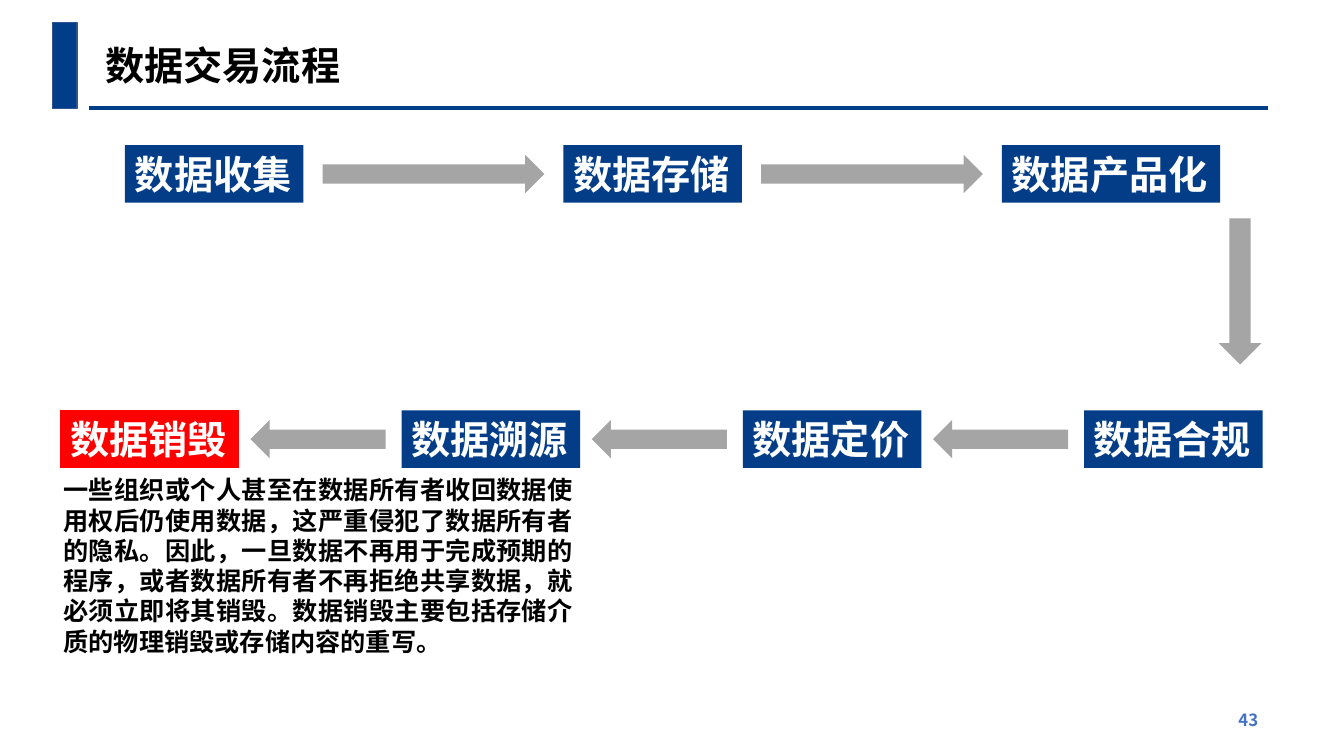
from lxml.etree import SubElement
from pptx import Presentation
from pptx.dml.color import RGBColor
from pptx.enum.shapes import MSO_CONNECTOR, MSO_SHAPE
from pptx.enum.text import MSO_ANCHOR, MSO_AUTO_SIZE, PP_ALIGN
from pptx.oxml.ns import qn
from pptx.util import Cm, Pt

FONT = "Noto Sans CJK SC"
NAVY = RGBColor(0x03, 0x3D, 0x88)
RULE_BLUE = RGBColor(0x00, 0x3E, 0x8A)
EDGE_BLUE = RGBColor(0x32, 0x54, 0x91)
NUMBER_BLUE = RGBColor(0x44, 0x72, 0xC4)
RED = RGBColor(0xFF, 0x00, 0x00)
GREY = RGBColor(0xA5, 0xA5, 0xA5)
WHITE = RGBColor(0xFF, 0xFF, 0xFF)
BLACK = RGBColor(0x00, 0x00, 0x00)

TITLE = "数据交易流程"
COLLECTING_STEPS = ["数据收集", "数据存储", "数据产品化"]
CLOSING_STEPS = ["数据销毁", "数据溯源", "数据定价", "数据合规"]  # left to right
HIGHLIGHT = "数据销毁"
EXPLANATION = (
    "一些组织或个人甚至在数据所有者收回数据使用权后仍使用数据，"
    "这严重侵犯了数据所有者的隐私。因此，一旦数据不再用于完成预期的程序，"
    "或者数据所有者不再拒绝共享数据，就必须立即将其销毁。"
    "数据销毁主要包括存储介质的物理销毁或存储内容的重写。"
)
PAGE_NUMBER = "43"

# Row geometry in centimetres
STEP_HEIGHT = 1.45
ARROW_HEIGHT = 0.97
COLLECTING_ROW = dict(left=3.15, top=3.66, pitch=11.05, offset=4.98, length=5.59, turn=0)
CLOSING_ROW = dict(left=1.52, top=10.34, pitch=8.6, offset=4.79, length=3.41, turn=180)


def add_text(box, text, size, color, align=PP_ALIGN.LEFT):
    para = box.text_frame.paragraphs[0]
    para.alignment = align
    span = para.add_run()
    span.text = text
    span.font.size = Pt(size)
    span.font.bold = True
    span.font.name = FONT
    span.font.color.rgb = color
    SubElement(span.font._element, qn("a:ea"), typeface=FONT)


def add_text_box(page, place, text, size, color, align):
    box = page.shapes.add_textbox(*map(Cm, place))
    box.text_frame.word_wrap = True
    add_text(box, text, size, color, align)
    return box


def add_filled(page, kind, place, fill, edge=None, edge_width=1):
    shape = page.shapes.add_shape(kind, *map(Cm, place))
    shape.shadow.inherit = False
    shape.fill.solid()
    shape.fill.fore_color.rgb = fill
    if edge is None:
        shape.line.fill.background()
    else:
        shape.line.color.rgb = edge
        shape.line.width = Pt(edge_width)
    return shape


def add_arrow(page, place, turn):
    arrow = add_filled(page, MSO_SHAPE.RIGHT_ARROW, place, GREY)
    arrow.rotation = turn


def add_step(page, text, left, top):
    width = 4.5 + (len(text) - 4) * 1.0
    fill, edge = (RED, RED) if text == HIGHLIGHT else (NAVY, None)
    step = add_filled(page, MSO_SHAPE.RECTANGLE, (left, top, width, STEP_HEIGHT), fill, edge, 0.75)
    frame = step.text_frame
    frame.word_wrap = False
    frame.auto_size = MSO_AUTO_SIZE.SHAPE_TO_FIT_TEXT
    frame.vertical_anchor = MSO_ANCHOR.TOP
    add_text(step, text, 28, WHITE)


def add_row(page, steps, left, top, pitch, offset, length, turn):
    """Place evenly pitched steps with an arrow in each gap."""
    arrow_top = top + (STEP_HEIGHT - ARROW_HEIGHT) / 2
    for index, text in enumerate(steps):
        step_left = left + index * pitch
        add_step(page, text, step_left, top)
        if index < len(steps) - 1:
            add_arrow(page, (step_left + offset, arrow_top, length, ARROW_HEIGHT), turn)


def add_header(page):
    rule = page.shapes.add_connector(MSO_CONNECTOR.STRAIGHT, Cm(2.24), Cm(2.72), Cm(31.95), Cm(2.72))
    rule.line.color.rgb = RULE_BLUE
    rule.line.width = Pt(2.25)
    SubElement(rule._element.spPr, qn("a:effectLst"))
    add_filled(page, MSO_SHAPE.RECTANGLE, (1.33, 0.57, 0.61, 2.17), RULE_BLUE, EDGE_BLUE)
    add_text_box(page, (2.01, 0.91, 7.21, 1.98), TITLE, 28, BLACK, PP_ALIGN.CENTER)


def main():
    deck = Presentation()
    deck.slide_width, deck.slide_height = Cm(33.87), Cm(19.05)
    page = deck.slides.add_slide(deck.slide_layouts[6])
    add_header(page)
    add_row(page, COLLECTING_STEPS, **COLLECTING_ROW)
    add_arrow(page, (29.41, 6.81, 3.68, 1.07), 90)
    add_row(page, CLOSING_STEPS, **CLOSING_ROW)
    explanation = add_text_box(page, (1.35, 11.84, 13.34, 4.88), EXPLANATION, 18, BLACK, PP_ALIGN.JUSTIFY)
    explanation.text_frame.auto_size = MSO_AUTO_SIZE.SHAPE_TO_FIT_TEXT
    number = add_text_box(page, (26.24, 17.63, 5.72, 1.02), PAGE_NUMBER, 12, NUMBER_BLUE, PP_ALIGN.RIGHT)
    number.text_frame.vertical_anchor = MSO_ANCHOR.MIDDLE
    deck.save("out.pptx")


if __name__ == "__main__":
    main()
